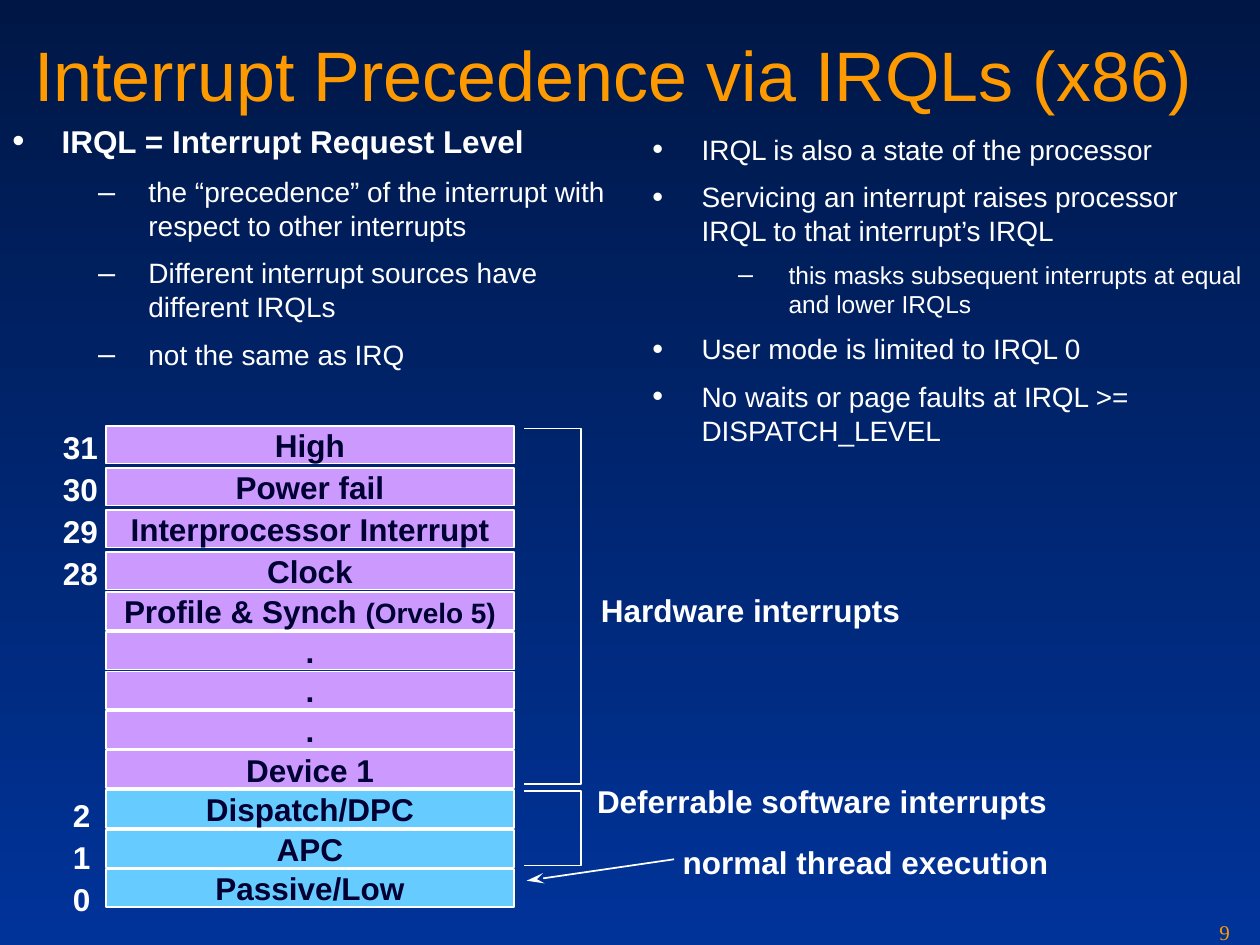
import dataclasses

import pptx
import pptx.dml.color
import pptx.enum.dml
import pptx.enum.shapes
import pptx.enum.text
import pptx.oxml
import pptx.oxml.ns
import pptx.util
from lxml import etree

Inches = pptx.util.Inches
Pt = pptx.util.Pt
Align = pptx.enum.text.PP_ALIGN
Anchor = pptx.enum.text.MSO_ANCHOR
AutoSize = pptx.enum.text.MSO_AUTO_SIZE
rgb = pptx.dml.color.RGBColor.from_string
qn = pptx.oxml.ns.qn


@dataclasses.dataclass(frozen=True)
class Theme:
    font: str = "Arial"
    number_font: str = "Times New Roman"
    sky_top: str = "001746"
    sky_bottom: str = "003399"
    accent: str = "FE9900"
    light: str = "FFFFFF"
    dark: str = "000033"
    hardware: str = "CC99FF"
    software: str = "66CCFF"
    title: int = 40
    heading: int = 18
    body: int = 16
    detail: int = 14
    page_number: int = 12
    line: int = 1


theme = Theme()


def write(frame, text, *, size=theme.heading, color=theme.light, bold=False,
          font=theme.font, align=Align.LEFT, bullet=None, same_line=False):
    """Add text to a frame as a new paragraph, or as a span of the last one."""
    para = frame.paragraphs[-1]
    if para.runs and not same_line:
        para = frame.add_paragraph()
    para.alignment = align
    span = para.add_run()
    span.text = text
    span.font.name = font
    span.font.size = Pt(size)
    span.font.bold = bold
    span.font.color.rgb = rgb(color)
    if bullet:
        para.level = 1 if bullet == "–" else 0
        para.space_before = para.space_after = Pt(size / 4)
        margin, hang = (1.08, 0.4) if para.level else (0.39, 0.39)
        properties = para._p.get_or_add_pPr()
        properties.set("marL", str(Inches(margin)))
        properties.set("indent", str(-Inches(hang)))
        bullet_color = etree.SubElement(properties, qn("a:buClr"))
        etree.SubElement(bullet_color, qn("a:srgbClr"), val=color)
        etree.SubElement(properties, qn("a:buSzPct"), val="110000")
        etree.SubElement(properties, qn("a:buFont"), typeface=font)
        etree.SubElement(properties, qn("a:buChar"), char=bullet)


def add_frame(page, left, top, width, height, wrap=False):
    """Add a text box and return its text frame."""
    box = page.shapes.add_textbox(Inches(left), Inches(top), Inches(width), Inches(height))
    frame = box.text_frame
    frame.word_wrap = wrap
    frame.auto_size = AutoSize.NONE if wrap else AutoSize.SHAPE_TO_FIT_TEXT
    return frame


deck = pptx.Presentation()
deck.slide_width, deck.slide_height = Inches(10), Inches(7.5)
page = deck.slides.add_slide(deck.slide_layouts[5])

# Background and title
sky = page.background.fill
sky.gradient()
sky.gradient_angle = 270
for stop, color in zip(sky.gradient_stops, (theme.sky_top, theme.sky_bottom)):
    stop.color.rgb = rgb(color)

title = page.shapes.title
title.left, title.top = Inches(0.17), Inches(0.17)
title.width, title.height = Inches(9.83), Inches(0.83)
title.text_frame.auto_size = AutoSize.NONE
title.text_frame.vertical_anchor = Anchor.MIDDLE
write(title.text_frame, "Interrupt Precedence via IRQLs (x86)",
      size=theme.title, color=theme.accent)

# Bullet columns
definition = add_frame(page, 0, 0.92, 4.92, 2.42, wrap=True)
write(definition, "IRQL = Interrupt Request Level", bold=True, bullet="•")
for text in (
    "the “precedence” of the interrupt with respect to other interrupts",
    "Different interrupt sources have different IRQLs",
    "not the same as IRQ",
):
    write(definition, text, size=theme.body, bullet="–")

processor = add_frame(page, 5.08, 1, 4.92, 3, wrap=True)
for text, size, bullet in (
    ("IRQL is also a state of the processor", theme.body, "•"),
    ("Servicing an interrupt raises processor IRQL to that interrupt’s IRQL", theme.body, "•"),
    ("this masks subsequent interrupts at equal and lower IRQLs", theme.detail, "–"),
    ("User mode is limited to IRQL 0", theme.body, "•"),
    ("No waits or page faults at IRQL >= DISPATCH_LEVEL", theme.body, "•"),
):
    write(processor, text, size=size, bullet=bullet)

# Stack of levels: the top four rows are spaced a little wider than the rest
levels = ["High", "Power fail", "Interprocessor Interrupt", "Clock", "Profile & Synch ",
          ".", ".", ".", "Device 1", "Dispatch/DPC", "APC", "Passive/Low"]
wide_rows, hardware_rows = 4, 9
wide_step, narrow_step = 1 / 3, 2.2 / 7
for row, level in enumerate(levels):
    if row < wide_rows:
        top = 3.38 + row * wide_step
    else:
        top = 4.7 + (row - wide_rows) * narrow_step
    bar = page.shapes.add_shape(pptx.enum.shapes.MSO_SHAPE.RECTANGLE,
                                Inches(0.84), Inches(top), Inches(3.24), Inches(0.3))
    bar.shadow.inherit = False
    bar.fill.solid()
    bar.fill.fore_color.rgb = rgb(theme.hardware if row < hardware_rows else theme.software)
    bar.line.color.rgb = rgb(theme.light)
    bar.line.width = Pt(theme.line)
    frame = bar.text_frame
    frame.word_wrap = False
    frame.vertical_anchor = Anchor.MIDDLE
    write(frame, level, color=theme.dark, bold=True, align=Align.CENTER)
    if level.startswith("Profile"):
        write(frame, "(Orvelo 5)", size=theme.body, color=theme.dark, bold=True,
              align=Align.CENTER, same_line=True)

# Level numbers
for numbers, left, first_top, width in (
    (("31", "30", "29", "28"), 0.4, 3.35, 0.48),
    (("2", "1", "0"), 0.48, 6.27, 0.34),
):
    for index, number in enumerate(numbers):
        write(add_frame(page, left, first_top + index * wide_step, width, 0.4), number, bold=True)

# Brackets, labels and arrow
for top, bottom in ((3.4, 6.22), (6.28, 6.87)):
    outline = page.shapes.build_freeform(Inches(4.16), Inches(top))
    outline.add_line_segments([(Inches(4.61), Inches(top)), (Inches(4.61), Inches(bottom)),
                               (Inches(4.16), Inches(bottom))], close=False)
    bracket = outline.convert_to_shape()
    bracket.shadow.inherit = False
    bracket.fill.background()
    bracket.line.color.rgb = rgb(theme.light)
    bracket.line.width = Pt(theme.line)

for text, left, top, width in (
    ("Hardware interrupts", 4.67, 4.64, 2.58),
    ("Deferrable software interrupts", 4.64, 6.16, 3.77),
    ("normal thread execution", 5.32, 6.64, 3.11),
):
    write(add_frame(page, left, top, width, 0.4), text, bold=True)

arrow = page.shapes.add_connector(pptx.enum.shapes.MSO_CONNECTOR.STRAIGHT,
                                  Inches(5.35), Inches(6.82), Inches(4.18), Inches(6.99))
arrow.line.color.rgb = rgb(theme.light)
arrow.line.width = Pt(theme.line)
etree.SubElement(arrow.line._get_or_add_ln(), qn("a:tailEnd"), type="stealth", w="med", len="lg")
etree.SubElement(arrow._element.spPr, qn("a:effectLst"))

write(add_frame(page, 9.58, 7.25, 0.42, 0.25, wrap=True), "9",
      size=theme.page_number, color=theme.accent, font=theme.number_font)

deck.save("out.pptx")
